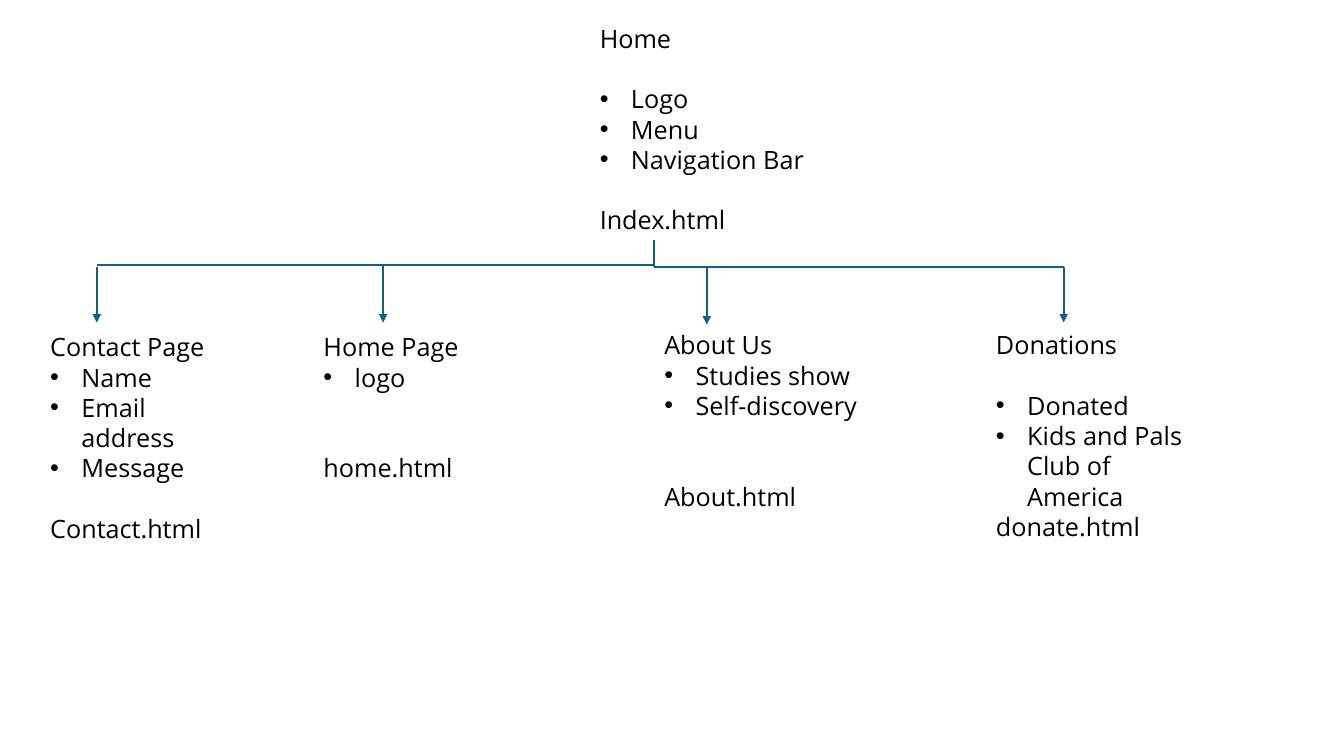
"""Site map slide: a home page linked to four sub-pages."""
from lxml.etree import SubElement
from pptx import Presentation
from pptx.dml.color import RGBColor as RGB
from pptx.enum.shapes import MSO_CONNECTOR as CONN
from pptx.oxml.ns import qn
from pptx.util import Inches, Pt

COLORS = {"text": "000000", "line": "156082"}
FONT = "Open Sans"
LINE_PT = 21.6
INDENT = Inches(0.31)

# Each page: left, top, width, height, title, lines before list, bullets, lines before file, file
PAGES = [
    (5.85, 0.16, 2.32, 2.22, "Home", 1, ["Logo", "Menu", "Navigation Bar"], 1, "Index.html"),
    (0.4, 3.22, 1.87, 2.22, "Contact Page", 0, ["Name", "Email address", "Message"], 1, "Contact.html"),
    (3.11, 3.22, 2.19, 1.62, "Home Page", 0, ["logo"], 2, "home.html"),
    (6.49, 3.2, 2.19, 1.92, "About Us", 0, ["Studies show", "Self-discovery"], 2, "About.html"),
    (9.78, 3.2, 2.19, 2.22, "Donations", 1, ["Donated", "Kids and Pals Club of America"], 0, "donate.html"),
]
TRUNK_X, TRUNK_TOP, LEFT_Y, RIGHT_Y = 6.49, 2.38, 2.63, 2.65
BRANCHES = [(0.96, RIGHT_Y, 3.2), (3.8, LEFT_Y, 3.2), (7.01, RIGHT_Y, 3.22), (10.55, RIGHT_Y, 3.2)]


def add_line(p, text, gap=0, bullet=False):
    """Fill a paragraph, set off by a gap counted in text lines."""
    p.line_spacing = Pt(LINE_PT)
    p.space_before = Pt(gap * LINE_PT)
    if bullet:
        pPr = p._p.get_or_add_pPr()
        pPr.set("marL", str(INDENT))
        pPr.set("indent", str(-INDENT))
        SubElement(pPr, qn("a:buFont"), typeface="Arial")
        SubElement(pPr, qn("a:buChar"), char="•")
    r = p.add_run()
    r.text = text
    r.font.name, r.font.size = FONT, Pt(18)
    r.font.color.rgb = RGB.from_string(COLORS["text"])


def add_page(s, left, top, width, height, title, list_gap, bullets, file_gap, file_name):
    """Add a text box with a page's title, contents and file name."""
    tf = s.shapes.add_textbox(Inches(left), Inches(top), Inches(width), Inches(height)).text_frame
    tf.word_wrap = True
    tf.margin_top = Inches(0.07)
    add_line(tf.paragraphs[0], title)
    for i, text in enumerate(bullets):
        add_line(tf.add_paragraph(), text, 0 if i else list_gap, bullet=True)
    add_line(tf.add_paragraph(), file_name, file_gap)


def add_link(s, x1, y1, x2, y2, arrow=False):
    """Add a straight line, with an arrowhead at its end if asked."""
    c = s.shapes.add_connector(CONN.STRAIGHT, Inches(x1), Inches(y1), Inches(x2), Inches(y2))
    c.line.color.rgb = RGB.from_string(COLORS["line"])
    c.line.width = Pt(1.5)
    if arrow:
        SubElement(c.line._get_or_add_ln(), qn("a:tailEnd"), type="triangle")
    SubElement(c._element.spPr, qn("a:effectLst"))


def main():
    """Build the slide and save it."""
    prs = Presentation()
    prs.slide_width, prs.slide_height = Inches(13.33), Inches(7.5)
    s = prs.slides.add_slide(prs.slide_layouts[6])
    for page in PAGES:
        add_page(s, *page)
    add_link(s, TRUNK_X, TRUNK_TOP, TRUNK_X, RIGHT_Y)
    add_link(s, TRUNK_X, LEFT_Y, BRANCHES[0][0], LEFT_Y)
    add_link(s, TRUNK_X, RIGHT_Y, BRANCHES[-1][0], RIGHT_Y)
    for x, top, bottom in BRANCHES:
        add_link(s, x, top, x, bottom, arrow=True)
    prs.save("out.pptx")


if __name__ == "__main__":
    main()
